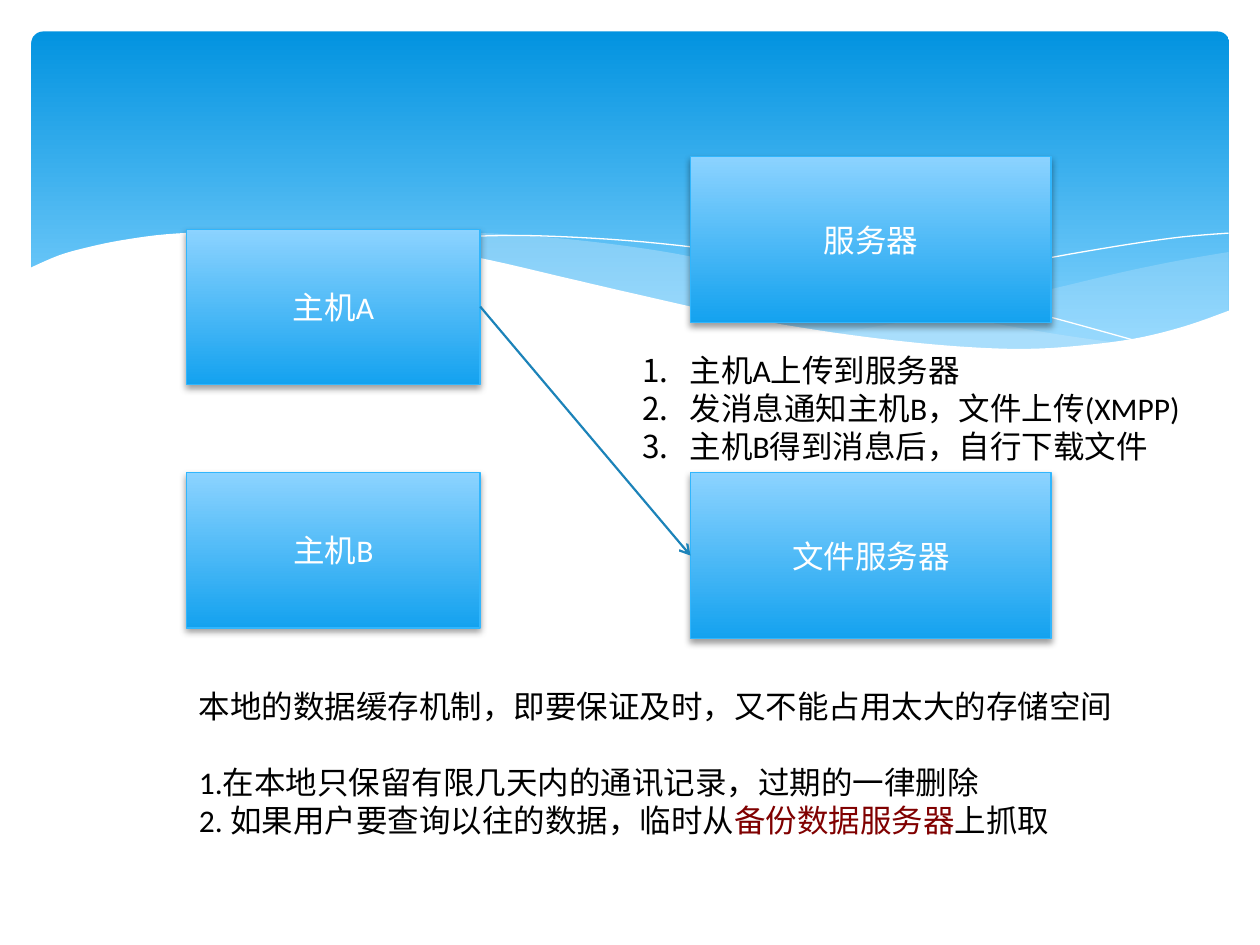
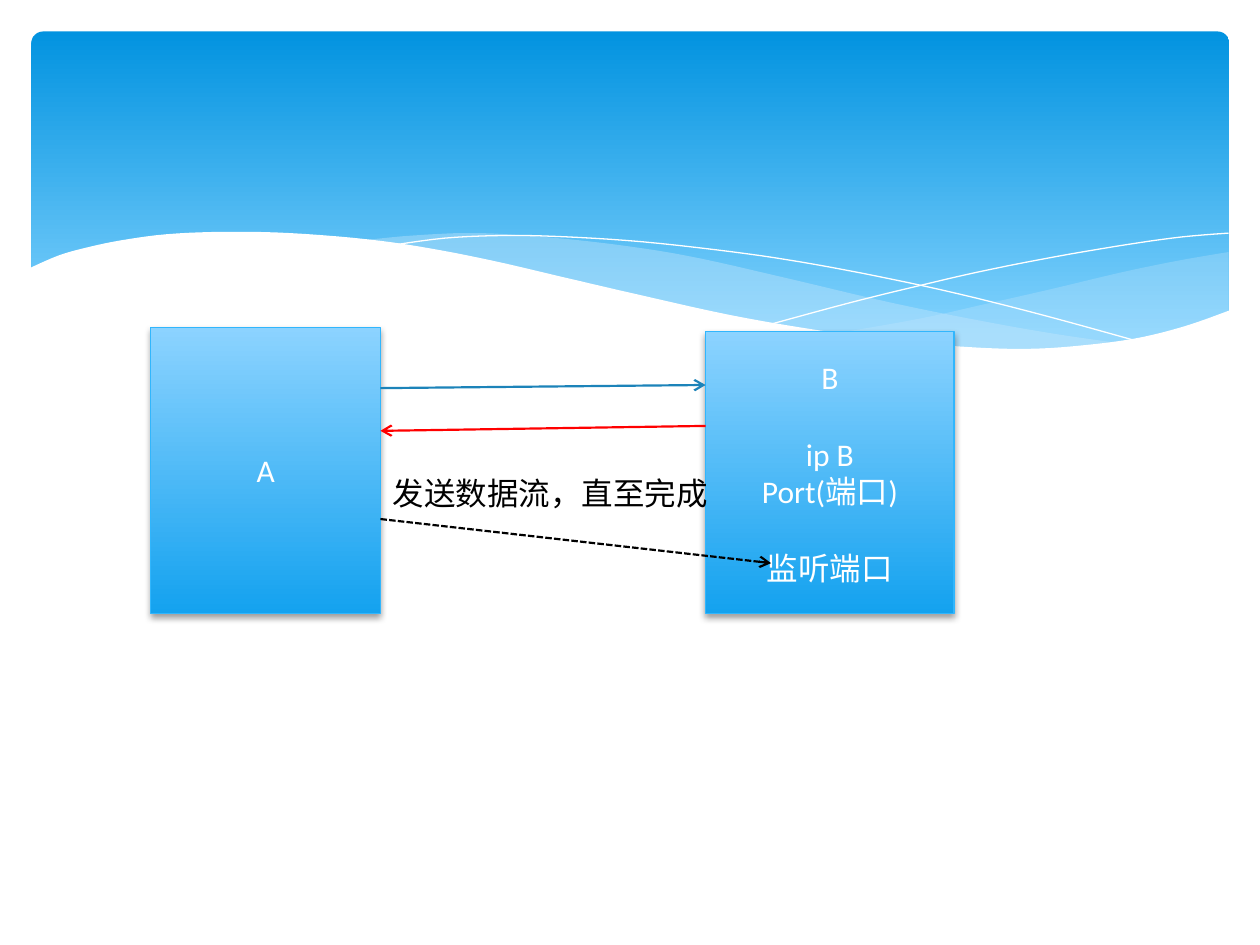
from lxml.etree import SubElement
from pptx import Presentation
from pptx.dml.color import RGBColor
from pptx.enum.dml import MSO_LINE
from pptx.enum.shapes import MSO_CONNECTOR, MSO_SHAPE
from pptx.enum.text import MSO_ANCHOR, MSO_AUTO_SIZE, PP_ALIGN
from pptx.oxml.ns import qn
from pptx.util import Pt

FONT, SIZE, BLANK_LINE = "Calibri", 18, 22
WHITE, BLACK, RED, MAROON = "FFFFFF", "000000", "FF0000", "800000"
BLUE, EDGE, PALE = "1C83B9", "31B6FD", "C6E7FC"
BOX_GRADIENT = [(0, "8CD3FF"), (1, "14A2EF")]
BAND_GRADIENT = [(0, "0293E0"), (0.9, "83D3FE")]
BAND = (18, 18, 684.5, 194.4)

RIGHT_WAVE_TOP = [(702, 144), (673, 149), (641.5, 155.5), (599, 165.6),
                  (561, 174.2), (525, 182.2), (476, 190.8)]
RIGHT_WAVE_BOTTOM = [(476, 190.8), (507.6, 195.1), (545, 198.7), (578, 200.2),
                     (615, 198.7), (646, 194.4), (678, 186.5), (702, 177.8)]
LONG_WAVE_TOP = [(643, 196.6), (602.6, 190.8), (558, 182.9), (508.3, 172.8),
                 (453, 159.8), (399.6, 147.6), (361.4, 141.1), (318.2, 136.1),
                 (273.6, 133.2), (236.2, 134.6), (206, 137.5)]
LONG_WAVE_BOTTOM = [(206, 137.5), (246.2, 143.3), (291, 151.9), (323.3, 159.8),
                    (381.6, 172.8), (432.7, 183.6), (478.8, 191.5), (519.8, 197.3),
                    (556.6, 199.4), (589, 200.2), (617, 199.4), (643, 196.6)]
FALLING_LINE = [(222.5, 140.4), (254.2, 136.1), (288.7, 134.6), (324, 135.4),
                (367.2, 138.2), (419, 144), (458, 149.8), (500.4, 157.7),
                (547.2, 167.8), (598.3, 180.7), (653, 195.8)]
RISING_LINE = [(441.4, 185), (483.8, 173.5), (518.4, 164.9), (558.7, 155.5),
               (602, 146.9), (644.4, 139.7), (675.4, 135.4), (702, 133.2)]
PAGE_EDGE = [(703.4, 177.1), (676.8, 186.5), (647.3, 193.7), (612, 198),
             (582.5, 199.4), (548, 198), (509.8, 194.4), (466.6, 188.6),
             (417, 180), (362.2, 167.8), (321.8, 158.4), (281.5, 149),
             (244.8, 141.8), (210.2, 136.8), (165.6, 133.2), (127.4, 132.5),
             (95, 133.9), (68.4, 137.5), (48.2, 141.8), (33, 146.2), (16.6, 153.4)]
PAGE_CORNERS = [(16.6, 237), (703.4, 237)]

# (gap before, runs) per paragraph
SLIDES = [
    {
        "boxes": [
            ((106.6, 131, 167.8, 88.8), [(0, [("主机A", WHITE)])]),
            ((106.6, 270, 167.8, 88.8), [(0, [("主机B", WHITE)])]),
            ((394.6, 89.3, 206, 95), [(0, [("服务器", WHITE)])]),
            ((394.6, 270, 206, 95), [(0, [("文件服务器", WHITE)])]),
        ],
        "arrows": [((274.4, 175.2), (394.6, 317.5), BLUE, None)],
        "texts": [
            ((360, 197.3, 334.8, 72.7), True, [
                (0, [("主机A上传到服务器", BLACK)]),
                (0, [("发消息通知主机B，文件上传(XMPP)", BLACK)]),
                (0, [("主机B得到消息后，自行下载文件", BLACK)]),
            ]),
            ((106.6, 388.8, 541.4, 94.3), False, [
                (0, [("本地的数据缓存机制，即要保证及时，又不能占用太大的存储空间", BLACK)]),
                (BLANK_LINE, [("1.在本地只保留有限几天内的通讯记录，过期的一律删除", BLACK)]),
                (0, [("2. 如果用户要查询以往的数据，临时从", BLACK),
                     ("备份数据服务器", MAROON), ("上抓取", BLACK)]),
            ]),
        ],
    },
    {
        "boxes": [
            ((86.2, 187, 131.2, 163.5), [(0, [("A", WHITE)])]),
            ((403.2, 189.5, 142, 161), [
                (0, [("B", WHITE)]),
                (BLANK_LINE, [("ip B", WHITE)]),
                (0, [("Port(端口)", WHITE)]),
                (BLANK_LINE, [("监听端口", WHITE)]),
            ]),
        ],
        "arrows": [
            ((217.4, 221.8), (403.2, 220), BLUE, None),
            ((403.2, 243.4), (217.4, 246.2), RED, None),
            ((217.4, 296.6), (440.6, 321.8), BLACK, MSO_LINE.SQUARE_DOT),
        ],
        "texts": [((217.4, 267.1, 196.6, 29), False,
                   [(0, [("发送数据流，直至完成", BLACK)])])],
    },
]


def rgb(value):
    return RGBColor.from_string(value)


def points(values):
    return [Pt(value) for value in values]


def smooth(knots, steps=5):
    padded = [knots[0], *knots, knots[-1]]
    curve = [knots[0]]
    for a, b, c, d in zip(padded, padded[1:], padded[2:], padded[3:]):
        for step in range(1, steps + 1):
            t = step / steps
            curve.append(tuple(
                (2 * q + (r - p) * t + (2 * p - 5 * q + 4 * r - s) * t ** 2
                 + (3 * q - p - 3 * r + s) * t ** 3) / 2
                for p, q, r, s in zip(a, b, c, d)))
    return curve


def set_gradient(shape, gradient):
    shape.fill.gradient()
    shape.fill.gradient_angle = 270
    for stop, (position, colour) in zip(shape.fill.gradient_stops, gradient):
        stop.position = position
        stop.color.rgb = rgb(colour)


def add_outline(slide, outline, fill=None, alpha=100):
    start, *rest = [points(point) for point in outline]
    builder = slide.shapes.build_freeform(*start)
    builder.add_line_segments(rest, close=fill is not None)
    shape = builder.convert_to_shape()
    shape.shadow.inherit = False
    if fill:
        shape.fill.solid()
        shape.fill.fore_color.rgb = rgb(fill)
        colour = shape.element.spPr.find(".//" + qn("a:srgbClr"))
        SubElement(colour, qn("a:alpha"), val=str(alpha * 1000))
        shape.line.fill.background()
    else:
        shape.fill.background()
        shape.line.color.rgb = rgb(WHITE)
        shape.line.width = Pt(0)


def add_band(slide, layout):
    band = slide.shapes.add_shape(MSO_SHAPE.ROUNDED_RECTANGLE, *points(BAND))
    band.adjustments[0] = 0.034
    band.shadow.inherit = False
    band.line.fill.background()
    set_gradient(band, BAND_GRADIENT)
    add_outline(slide, smooth(RIGHT_WAVE_TOP) + smooth(RIGHT_WAVE_BOTTOM), PALE, 29)
    add_outline(slide, smooth(LONG_WAVE_TOP) + smooth(LONG_WAVE_BOTTOM), PALE, 40)
    add_outline(slide, smooth(FALLING_LINE))
    add_outline(slide, smooth(RISING_LINE))
    add_outline(slide, smooth(PAGE_EDGE) + PAGE_CORNERS, WHITE)
    for shape in list(slide.shapes):
        layout.shapes.element.append(shape.element)


def write(frame, paragraphs, align, numbered=False):
    for index, (gap, runs) in enumerate(paragraphs):
        paragraph = frame.add_paragraph() if index else frame.paragraphs[0]
        paragraph.alignment = align
        paragraph.space_before = Pt(gap)
        paragraph.font.name = FONT
        paragraph.font.size = Pt(SIZE)
        for text, colour in runs:
            run = paragraph.add_run()
            run.text = text
            run.font.color.rgb = rgb(colour)
        if numbered:
            properties = paragraph._p.get_or_add_pPr()
            properties.set("marL", str(Pt(27)))
            properties.set("indent", str(-Pt(27)))
            number = properties.makeelement(qn("a:buAutoNum"), {"type": "arabicPeriod"})
            properties.find(qn("a:defRPr")).addprevious(number)


def add_box(slide, place, paragraphs):
    box = slide.shapes.add_shape(MSO_SHAPE.RECTANGLE, *points(place))
    set_gradient(box, BOX_GRADIENT)
    box.line.color.rgb = rgb(EDGE)
    box.line.width = Pt(0.75)
    box.shadow.inherit = False
    shadow = SubElement(box.element.spPr.find(qn("a:effectLst")), qn("a:outerShdw"),
                        blurRad=str(Pt(4)), dist=str(Pt(2)), dir="5400000", rotWithShape="0")
    colour = SubElement(shadow, qn("a:srgbClr"), val=BLACK)
    SubElement(colour, qn("a:alpha"), val="38000")
    box.text_frame.vertical_anchor = MSO_ANCHOR.MIDDLE
    write(box.text_frame, paragraphs, PP_ALIGN.CENTER)


def add_arrow(slide, start, end, colour, dash):
    arrow = slide.shapes.add_connector(MSO_CONNECTOR.STRAIGHT, *points(start + end))
    arrow.line.color.rgb = rgb(colour)
    arrow.line.width = Pt(1.25)
    if dash:
        arrow.line.dash_style = dash
    SubElement(arrow.line._get_or_add_ln(), qn("a:tailEnd"), type="arrow")
    SubElement(arrow.element.spPr, qn("a:effectLst"))


def add_text(slide, place, numbered, paragraphs):
    frame = slide.shapes.add_textbox(*points(place)).text_frame
    frame.word_wrap = False
    frame.auto_size = MSO_AUTO_SIZE.SHAPE_TO_FIT_TEXT
    write(frame, paragraphs, PP_ALIGN.LEFT, numbered)


deck = Presentation()
deck.slide_width, deck.slide_height = Pt(720), Pt(540)
blank = deck.slide_layouts[6]
for number, content in enumerate(SLIDES):
    slide = deck.slides.add_slide(blank)
    if number == 0:
        add_band(slide, blank)
    for box in content["boxes"]:
        add_box(slide, *box)
    for arrow in content["arrows"]:
        add_arrow(slide, *arrow)
    for text in content["texts"]:
        add_text(slide, *text)
deck.save("out.pptx")
